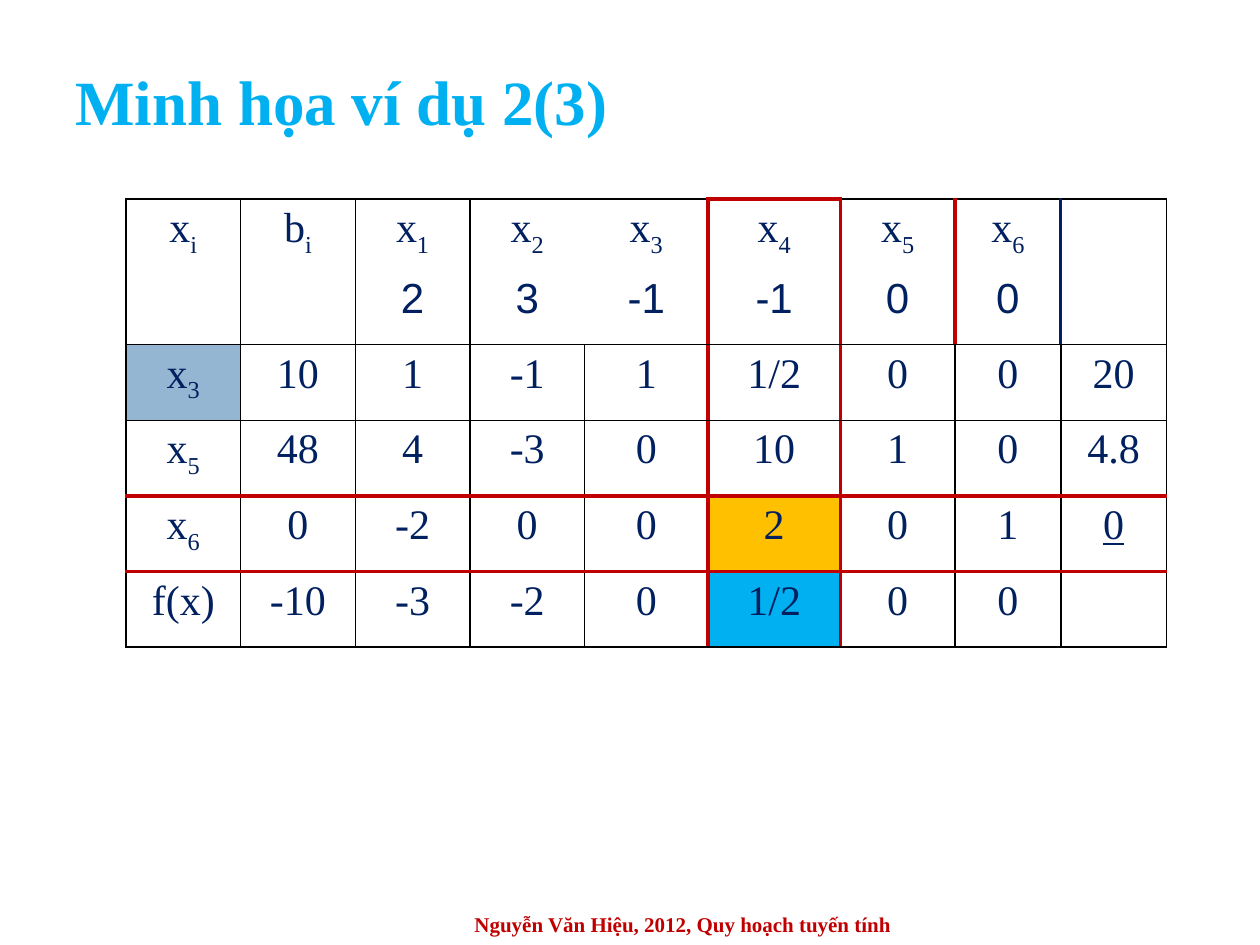
from pptx import Presentation, util as u
from pptx.dml import color
from pptx.enum import text
from pptx.oxml import parse_xml
from pptx.oxml import ns

THEME = {
    "serif": "Times New Roman", "sans": "Arial",
    "title_size": 36, "cell_size": 24, "footer_size": 12,
    "sky": "00B0F0", "red": "C00000", "navy": "002060", "black": "000000",
    "steel": "94B6D2", "gold": "FFC000",
    "thin": 1, "thick": 2.25,
}

TITLE = "Minh họa ví dụ 2(3)"
FOOTER = "Nguyễn Văn Hiệu, 2012, Quy hoạch tuyến tính"
TABLEAU = [
    ["x_i", "b_i", "x_1", "x_2", "x_3", "x_4", "x_5", "x_6", ""],
    ["", "", "2", "3", "-1", "-1", "0", "0", ""],
    ["x_3", "10", "1", "-1", "1", "1/2", "0", "0", "20"],
    ["x_5", "48", "4", "-3", "0", "10", "1", "0", "4.8"],
    ["x_6", "0", "-2", "0", "0", "2", "0", "1", "0"],
    ["f(x)", "-10", "-3", "-2", "0", "1/2", "0", "0", ""],
]
COLUMN_WIDTHS = [0.91, 0.91, 0.91, 0.91, 0.98, 1.05, 0.91, 0.84, 0.84]
ROW_HEIGHTS = [0.52] + [0.6] * 5
HEADER_ROWS = 2
COST_ROW = 1
PIVOT_COLUMN = 5
TALL_COLUMNS = (0, 1)
UNDERLINED = (4, 8)
HIGHLIGHTS = {(2, 0): "steel", (4, 5): "gold", (5, 5): "sky"}
HEADER_RULES = {4: None, 7: "red", 8: "navy"}
ROW_RULES = {1: None, 4: "red", 5: "red"}


def add_run(paragraph, words, size, ink, **formats):
    run = paragraph.add_run()
    run.text = words
    run.font.color.rgb = color.RGBColor.from_string(THEME[ink])
    values = {"name": THEME["serif"], "size": u.Pt(THEME[size]), **formats}
    for name, value in values.items():
        setattr(run.font, name, value)
    return run


def add_line(slide, box, words, size, ink, align):
    frame = slide.shapes.add_textbox(*map(u.Inches, box)).text_frame
    for name, value in {"word_wrap": True,
                        "vertical_anchor": text.MSO_ANCHOR.MIDDLE}.items():
        setattr(frame, name, value)
    frame.paragraphs[0].alignment = align
    add_run(frame.paragraphs[0], words, size, ink, bold=True)


def vertical_rule(row, edge):
    if edge in (PIVOT_COLUMN, PIVOT_COLUMN + 1):
        return "red"
    return HEADER_RULES.get(edge, "black") if row < HEADER_ROWS else "black"


def horizontal_rule(edge, column):
    if edge == 0 and column == PIVOT_COLUMN:
        return "red"
    return ROW_RULES.get(edge, "black")


def draw_borders(cell, row, column):
    rules = {
        "lnL": vertical_rule(row, column),
        "lnR": vertical_rule(row, column + 1),
        "lnT": horizontal_rule(row, column),
        "lnB": horizontal_rule(row + cell.span_height, column),
    }
    properties = cell._tc.get_or_add_tcPr()
    for place, (side, ink) in enumerate(rules.items()):
        width = u.Pt(THEME["thin" if ink == "black" else "thick"])
        paint = (f'<a:solidFill><a:srgbClr val="{THEME[ink]}"/></a:solidFill>'
                 if ink else "<a:noFill/>")
        properties.insert(place, parse_xml(
            f'<a:{side} {ns.nsdecls("a")} w="{width}">{paint}</a:{side}>'))


def write_cell(cell, words, row, column):
    paragraph = cell.text_frame.paragraphs[0]
    paragraph.alignment = text.PP_ALIGN.CENTER
    base, _, index = words.partition("_")
    if base:
        add_run(paragraph, base, "cell_size", "navy",
                name=THEME["sans" if row == COST_ROW else "serif"],
                underline=(row, column) == UNDERLINED)
    if index:
        subscript = add_run(paragraph, index, "cell_size", "navy")
        subscript.font._element.set("baseline", "-25000")


def add_tableau(slide):
    size = (sum(COLUMN_WIDTHS), sum(ROW_HEIGHTS))
    tableau = slide.shapes.add_table(
        len(TABLEAU), len(COLUMN_WIDTHS), *map(u.Inches, (1, 1.58, *size))).table
    for name, value in {"first_row": False, "horz_banding": False}.items():
        setattr(tableau, name, value)
    for column, width in zip(tableau.columns, COLUMN_WIDTHS):
        column.width = u.Inches(width)
    for row, height in zip(tableau.rows, ROW_HEIGHTS):
        row.height = u.Inches(height)
    for column in TALL_COLUMNS:
        tableau.cell(0, column).merge(tableau.cell(HEADER_ROWS - 1, column))
    for row, entries in enumerate(TABLEAU):
        for column, words in enumerate(entries):
            cell = tableau.cell(row, column)
            write_cell(cell, words, row, column)
            shade = HIGHLIGHTS.get((row, column))
            if shade:
                cell.fill.solid()
                cell.fill.fore_color.rgb = color.RGBColor.from_string(THEME[shade])
            else:
                cell.fill.background()
            draw_borders(cell, row, column)


def main():
    deck = Presentation()
    deck.slide_width, deck.slide_height = u.Inches(10), u.Inches(7.5)
    slide = deck.slides.add_slide(deck.slide_layouts[6])
    add_line(slide, (0.5, 0.42, 9, 0.75), TITLE, "title_size", "sky",
             text.PP_ALIGN.LEFT)
    add_line(slide, (2.92, 7.17, 5, 0.33), FOOTER, "footer_size", "red",
             text.PP_ALIGN.CENTER)
    add_tableau(slide)
    deck.save("out.pptx")


if __name__ == "__main__":
    main()
